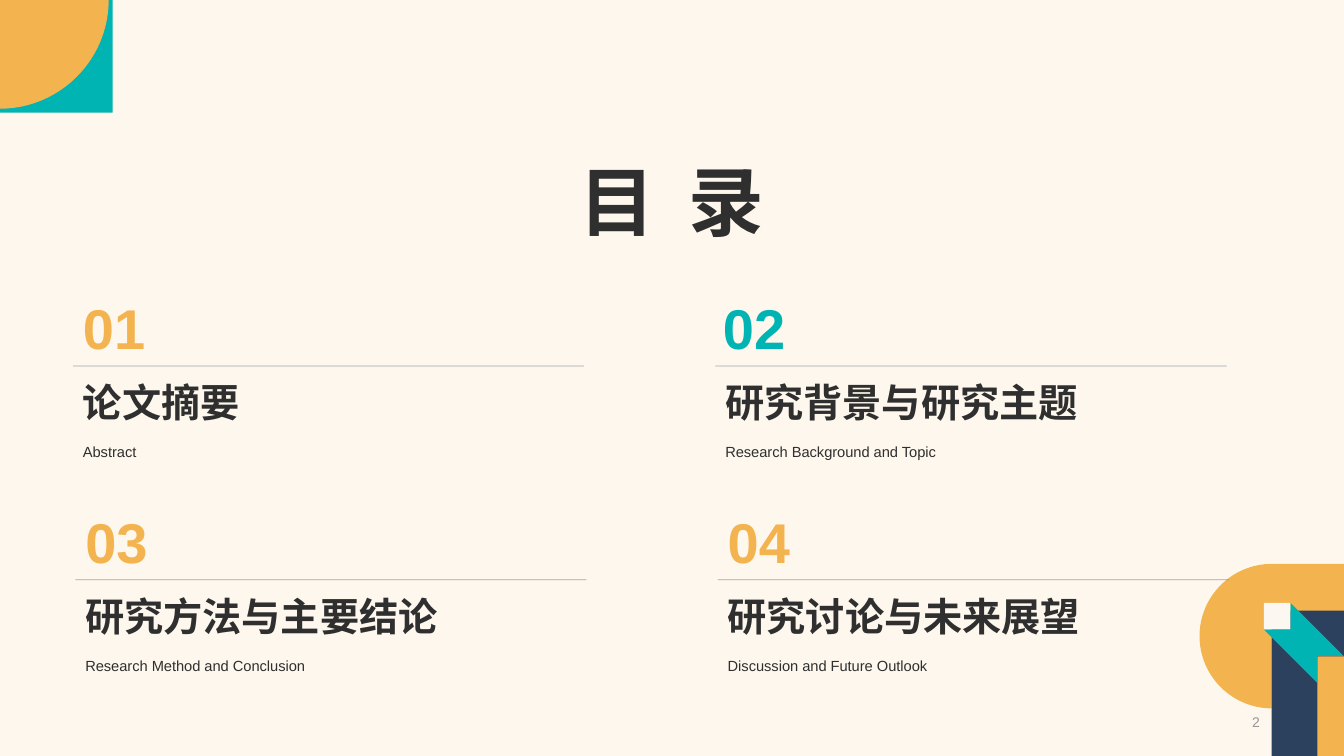
from lxml import etree
from pptx import Presentation
from pptx import util as u
from pptx.dml.color import RGBColor
from pptx.enum import shapes, text
from pptx.oxml.ns import qn

CREAM, PALE, DARK, GREY = "FEF7ED", "FCF7F1", "2F2F2F", "979797"
TEAL, AMBER, NAVY, RULE = "00B4B3", "F3B34E", "2C415E", "778495"
WIDTH, HEIGHT = 33.87, 19.05
ROUND = 0.55  # reach of the control points of a quarter circle

# left, rule height, number shift, number, number colour, heading, caption
ENTRIES = [
    (1.84, 9.22, 0, "01", AMBER, "论文摘要", "Abstract"),
    (18.03, 9.22, -0.06, "02", TEAL, "研究背景与研究主题", "Research Background and Topic"),
    (1.9, 14.61, 0, "03", AMBER, "研究方法与主要结论", "Research Method and Conclusion"),
    (18.09, 14.61, 0, "04", AMBER, "研究讨论与未来展望", "Discussion and Future Outlook"),
]


def color(value):
    return RGBColor.from_string(value)


def paint(shape, fill):
    shape.shadow.inherit = False
    shape.fill.solid()
    shape.fill.fore_color.rgb = color(fill)
    shape.line.fill.background()


def add_block(page, left, top, width, height, fill):
    block = page.shapes.add_shape(
        shapes.MSO_SHAPE.RECTANGLE, u.Cm(left), u.Cm(top), u.Cm(width), u.Cm(height))
    paint(block, fill)


def add_outline(page, points, fill, curves=()):
    """Draw a closed outline; three segments from each index in curves form one Bézier."""
    start, *others = [(u.Cm(x), u.Cm(y)) for x, y in points]
    builder = page.shapes.build_freeform(*start)
    builder.add_line_segments(others, close=True)
    outline = builder.convert_to_shape()
    paint(outline, fill)
    segments = list(outline._element.iter(qn("a:lnTo")))
    for index in curves:
        curve = etree.Element(qn("a:cubicBezTo"))
        segments[index].addprevious(curve)
        for segment in segments[index:index + 3]:
            curve.append(segment[0])
            segment.getparent().remove(segment)


def add_text(page, left, top, width, height, words, size, ink, bold=False,
             anchor=text.MSO_ANCHOR.BOTTOM, align=text.PP_ALIGN.LEFT, spacing=None):
    box = page.shapes.add_textbox(u.Cm(left), u.Cm(top), u.Cm(width), u.Cm(height))
    frame = box.text_frame
    frame.word_wrap = True
    frame.vertical_anchor = anchor
    frame.text = words
    para = frame.paragraphs[0]
    para.alignment = align
    para.line_spacing = spacing
    span = para.runs[0]
    span.font.name = "Arial"
    span.font.size = u.Pt(size)
    span.font.bold = bold
    span.font.color.rgb = color(ink)
    return box


def add_rule(page, left, top, length):
    rule = page.shapes.add_connector(
        shapes.MSO_CONNECTOR.STRAIGHT, u.Cm(left), u.Cm(top), u.Cm(left + length), u.Cm(top))
    rule.line.width = u.Pt(0.5)
    rule.line.color.rgb = color(RULE)
    properties = rule._element.spPr
    tint = properties.find(".//" + qn("a:srgbClr"))
    etree.SubElement(tint, qn("a:alpha")).set("val", "70000")
    etree.SubElement(properties, qn("a:effectLst"))


def add_title(page):
    box = add_text(page, 12.8, 3.63, 8.26, 2.82, "目 录", 54, DARK, bold=True,
                   align=text.PP_ALIGN.CENTER)
    frame = box.text_frame
    frame.margin_top = frame.margin_bottom = u.Cm(0.25)
    span = frame.paragraphs[0].runs[0]
    span._r.get_or_add_rPr().set("spc", "600")


def add_entry(page, left, rule_top, shift, number, ink, heading, caption):
    add_text(page, left, rule_top + 1.68, 13.84, 0.84, caption, 10.5, DARK,
             anchor=text.MSO_ANCHOR.TOP, spacing=1.3)
    add_text(page, left, rule_top + 0.18, 13.84, 1.45, heading, 28, DARK, bold=True)
    add_text(page, left + shift, rule_top - 1.96, 13.92, 1.96, number, 40, ink, bold=True)
    add_rule(page, left, rule_top, 12.88)


def add_top_corner(page):
    radius = 2.74
    reach = radius * ROUND
    add_block(page, 0, 0, 2.84, 2.84, TEAL)
    add_outline(page, [(0, 0), (radius, 0), (radius, reach), (reach, radius), (0, radius)],
                AMBER, curves=[1])


def add_bottom_corner(page):
    x, y, radius, step = 32.05, 16.03, 1.82, 0.67
    reach = radius * ROUND
    left, top, bottom = x - radius, y - radius, y + radius
    add_outline(page, [(x, y), (WIDTH, y), (WIDTH, top), (x, top),
                       (x - reach, top), (left, y - reach), (left, y),
                       (left, y + reach), (x - reach, bottom), (x, bottom)],
                AMBER, curves=[3, 6])
    add_block(page, x, 15.39, WIDTH - x, HEIGHT - 15.39, NAVY)
    add_block(page, WIDTH - step, 16.54, step, HEIGHT - 16.54, AMBER)
    left, top = 31.85, 15.19
    arrow = [(1, 2), (2, 3), (2, 2), (3, 2), (2, 1), (1, 0), (1, 1), (0, 1)]
    add_outline(page, [(left + step * i, top + step * j) for i, j in arrow], TEAL)
    add_block(page, left, top, step, step, PALE)


def main():
    deck = Presentation()
    deck.slide_width, deck.slide_height = u.Cm(WIDTH), u.Cm(HEIGHT)
    page = deck.slides.add_slide(deck.slide_layouts[6])
    page.background.fill.solid()
    page.background.fill.fore_color.rgb = color(CREAM)
    add_top_corner(page)
    add_bottom_corner(page)
    add_title(page)
    for entry in ENTRIES:
        add_entry(page, *entry)
    add_text(page, 24.61, 17.88, 7.39, 0.61, "2", 10, GREY,
             anchor=text.MSO_ANCHOR.MIDDLE, align=text.PP_ALIGN.RIGHT)
    deck.save("out.pptx")


if __name__ == "__main__":
    main()
